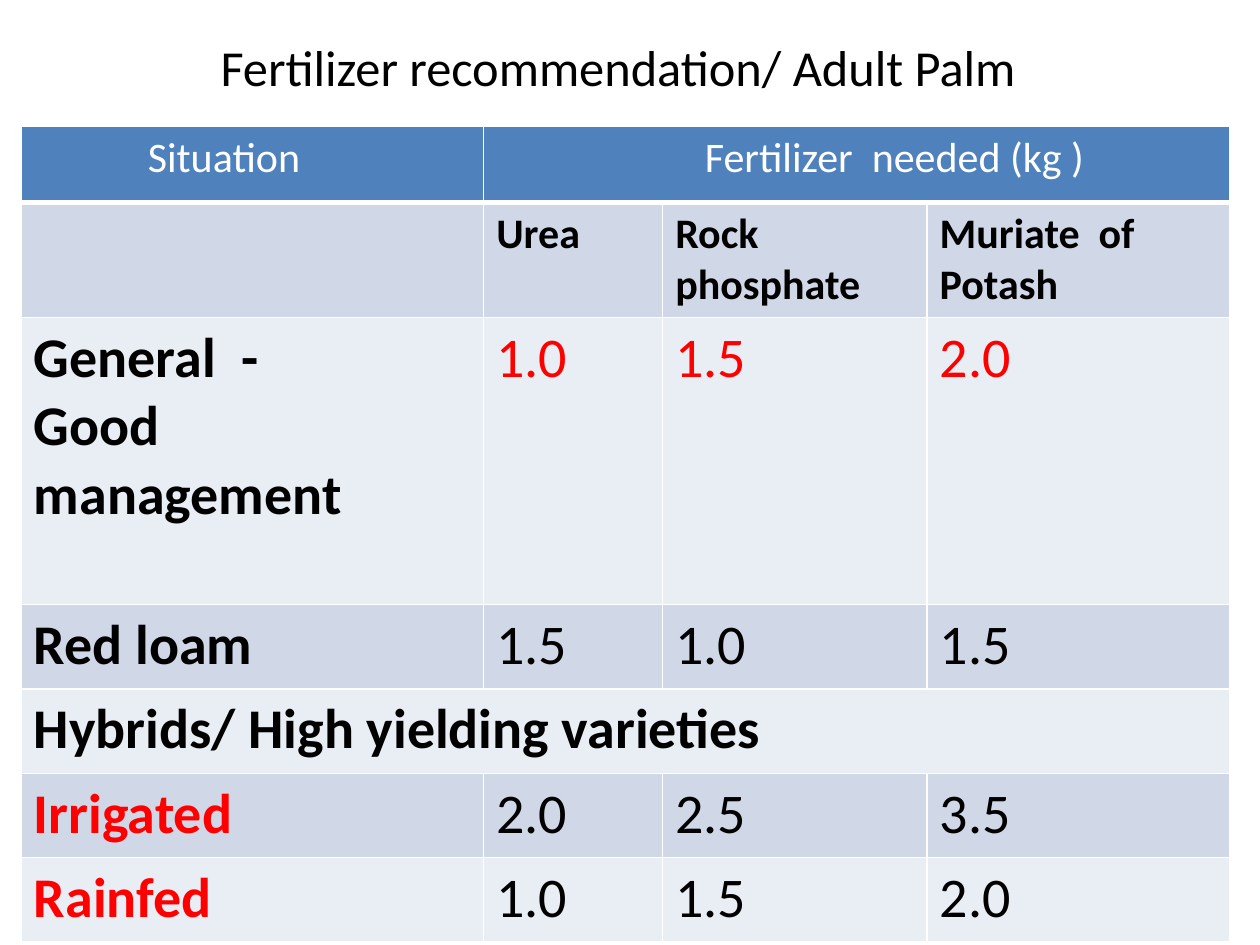
from lxml import etree
from pptx import Presentation
from pptx.dml.color import RGBColor
from pptx.enum import text
from pptx.oxml import ns
from pptx.util import Cm, Pt

WHITE, BLACK, RED = "FFFFFF", "000000", "FF0000"
HEADER, DARK_BAND, LIGHT_BAND = "4F81BD", "D0D8E8", "E9EDF4"


def write(frame, content, size=32, color=BLACK, bold=False, align=text.PP_ALIGN.LEFT):
    frame.text = content
    for paragraph in frame.paragraphs:
        paragraph.alignment = align
        for run in paragraph.runs:
            run.font.name = "Calibri"
            run.font.size = Pt(size)
            run.font.bold = bold
            run.font.color.rgb = RGBColor.from_string(color)


def add_border(cell, side, points):
    line = etree.SubElement(cell._tc.get_or_add_tcPr(), ns.qn(f"a:ln{side}"), w=str(Pt(points)))
    fill = etree.SubElement(line, ns.qn("a:solidFill"))
    etree.SubElement(fill, ns.qn("a:srgbClr"), val=WHITE)


deck = Presentation()
deck.slide_width, deck.slide_height = Cm(25.4), Cm(19.05)
slide = deck.slides.add_slide(deck.slide_layouts[5])

# Title, set slightly left of centre
title = slide.shapes.title
title.left, title.top, title.width, title.height = Cm(1.27), Cm(0.76), Cm(22.86), Cm(1.14)
title.text_frame.vertical_anchor = text.MSO_ANCHOR.MIDDLE
title.text_frame.auto_size = text.MSO_AUTO_SIZE.NONE
title.text_frame.margin_right = Cm(0.72)
write(title.text_frame, "Fertilizer recommendation/ Adult Palm", size=28.8,
      align=text.PP_ALIGN.CENTER)

# Table content
rows = [
    ["Situation", "Fertilizer  needed (kg )", "", ""],
    ["", "Urea", "Rock phosphate", "Muriate  of Potash"],
    ["General  -\nGood management", "1.0", "1.5", "2.0"],
    ["Red loam", "1.5", "1.0", "1.5"],
    ["Hybrids/ High yielding varieties", "", "", ""],
    ["Irrigated", "2.0", "2.5", "3.5"],
    ["Rainfed", "1.0", "1.5", "2.0"],
]
col_widths = [9.32, 3.61, 5.33, 6.1]
row_heights = [1.54, 2.31, 5.79] + [1.7] * 4
red_labels = {"Irrigated", "Rainfed"}

# Table grid
doses = slide.shapes.add_table(
    len(rows), len(col_widths), Cm(0.43), Cm(2.54),
    Cm(sum(col_widths)), Cm(sum(row_heights))).table
for column, width in zip(doses.columns, col_widths):
    column.width = Cm(width)
for row, height in zip(doses.rows, row_heights):
    row.height = Cm(height)

# Cells: borders, band colour, text
for r, values in enumerate(rows):
    for c, value in enumerate(values):
        cell = doses.cell(r, c)
        for side in "LRTB":
            at_header_edge = (r, side) in ((0, "B"), (1, "T"))
            add_border(cell, side, 3 if at_header_edge else 1)
        band = HEADER if r == 0 else DARK_BAND if r % 2 else LIGHT_BAND
        cell.fill.solid()
        cell.fill.fore_color.rgb = RGBColor.from_string(band)
        if not value:
            continue
        is_red = value in red_labels or (r == 2 and c > 0)
        write(cell.text_frame, value,
              size=24 if r < 2 else 32,
              color=WHITE if r == 0 else RED if is_red else BLACK,
              bold=r == 1 or (r > 1 and c == 0))

# Spanning cells and header indents
doses.cell(0, 1).merge(doses.cell(0, 3))
doses.cell(4, 0).merge(doses.cell(4, 3))
doses.cell(0, 0).margin_left = Cm(2.55)
doses.cell(0, 1).margin_left = Cm(4.46)

deck.save("out.pptx")
